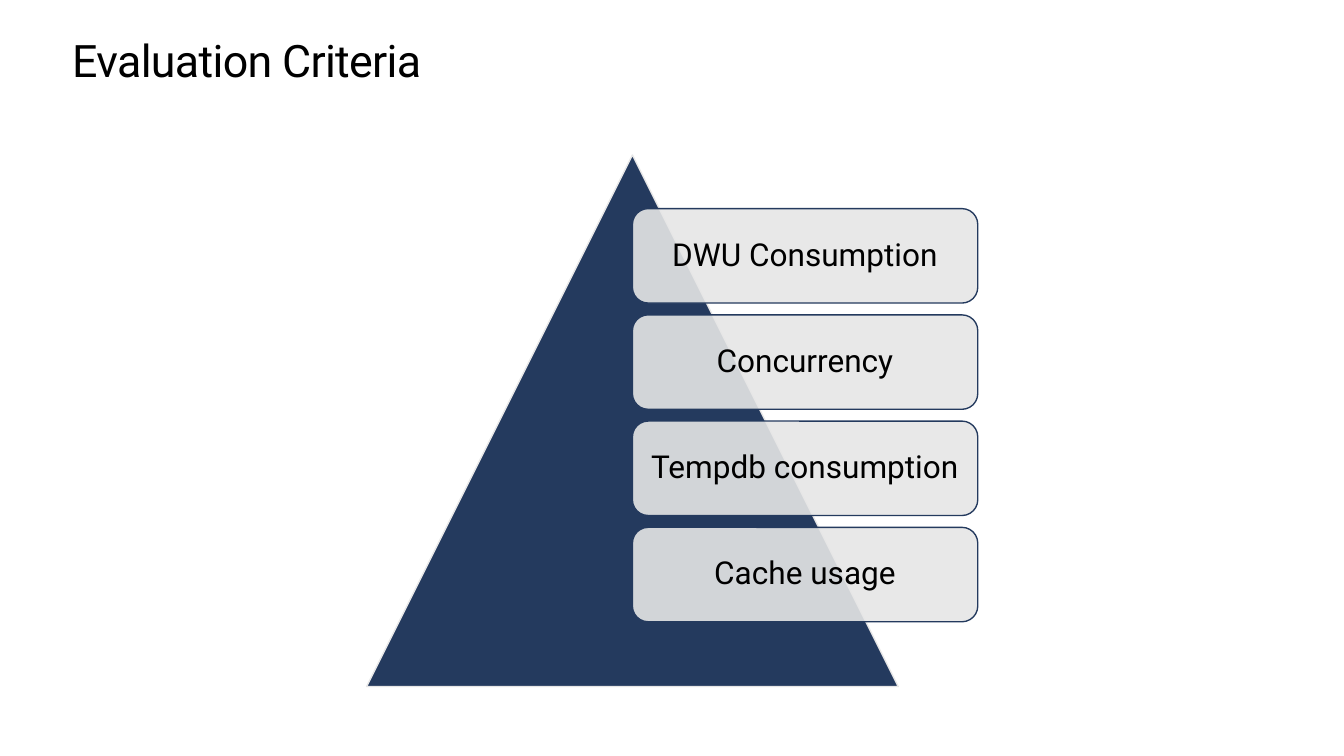
import pptx
import pptx.util
import pptx.dml.color
import pptx.enum.shapes
import pptx.enum.text
import pptx.oxml.ns
import lxml.etree

Pt = pptx.util.Pt
NAVY, GREY, WHITE, BLACK = "243A5E", "E6E6E6", "FFFFFF", "000000"
SHAPES = pptx.enum.shapes.MSO_SHAPE
ANCHOR = pptx.enum.text.MSO_ANCHOR
ALIGN = pptx.enum.text.PP_ALIGN


def paint(target, color):
    if hasattr(target, "solid"):
        target.solid()
        target = target.fore_color
    else:
        target = target.color
    target.rgb = pptx.dml.color.RGBColor.from_string(color)


def write(box, text, size, frame_format, para_format):
    frame = box.text_frame
    frame.text = text
    para = frame.paragraphs[0]
    span = para.runs[0]
    font_format = {"name": "Roboto", "size": Pt(size), "bold": False}
    for target, values in ((frame, frame_format), (para, para_format), (span.font, font_format)):
        for name, value in values.items():
            setattr(target, name, value)
    paint(span.font, BLACK)
    return span


deck = pptx.Presentation()
deck.slide_width, deck.slide_height = Pt(979.2), Pt(550.8)
page = deck.slides.add_slide(deck.slide_layouts[5])
paint(page.background.fill, WHITE)

title = page.shapes.title
title_place = {"left": Pt(52.6), "top": Pt(26), "width": Pt(874), "height": Pt(37)}
for name, value in title_place.items():
    setattr(title, name, value)
paint(title.fill, WHITE)
title_frame = {
    "margin_left": 0, "margin_top": 0, "margin_right": 0, "margin_bottom": 0,
    "word_wrap": True, "vertical_anchor": ANCHOR.TOP,
    "auto_size": pptx.enum.text.MSO_AUTO_SIZE.NONE,
}
title_para = {"alignment": ALIGN.LEFT, "line_spacing": Pt(36.9)}
heading = write(title, "Evaluation Criteria", 32.6, title_frame, title_para)
heading.font._element.set("spc", "-50")

pyramid = page.shapes.add_shape(
    SHAPES.ISOSCELES_TRIANGLE, Pt(267.2), Pt(113), Pt(387.2), Pt(387.2))
pyramid.shadow.inherit = False
paint(pyramid.fill, NAVY)
paint(pyramid.line, GREY)
pyramid.line.width = Pt(1)

criteria = ["DWU Consumption", "Concurrency", "Tempdb consumption", "Cache usage"]
card_top, card_height, card_pitch = 152, 68.8, 77.4
card_frame = {
    "margin_left": Pt(7.2), "margin_top": Pt(7.2),
    "margin_right": Pt(7.2), "margin_bottom": Pt(7.2),
    "word_wrap": True, "vertical_anchor": ANCHOR.MIDDLE,
}
card_para = {"alignment": ALIGN.CENTER, "line_spacing": 0.9}
for index, criterion in enumerate(criteria):
    card = page.shapes.add_shape(
        SHAPES.ROUNDED_RECTANGLE, Pt(460.8), Pt(card_top + index * card_pitch),
        Pt(251.6), Pt(card_height))
    card.shadow.inherit = False
    paint(card.fill, GREY)
    fill_color = card._element.spPr.find(".//" + pptx.oxml.ns.qn("a:srgbClr"))
    lxml.etree.SubElement(fill_color, pptx.oxml.ns.qn("a:alpha"), val="90000")
    paint(card.line, NAVY)
    card.line.width = Pt(1)
    write(card, criterion, 23, card_frame, card_para)

deck.save("out.pptx")
